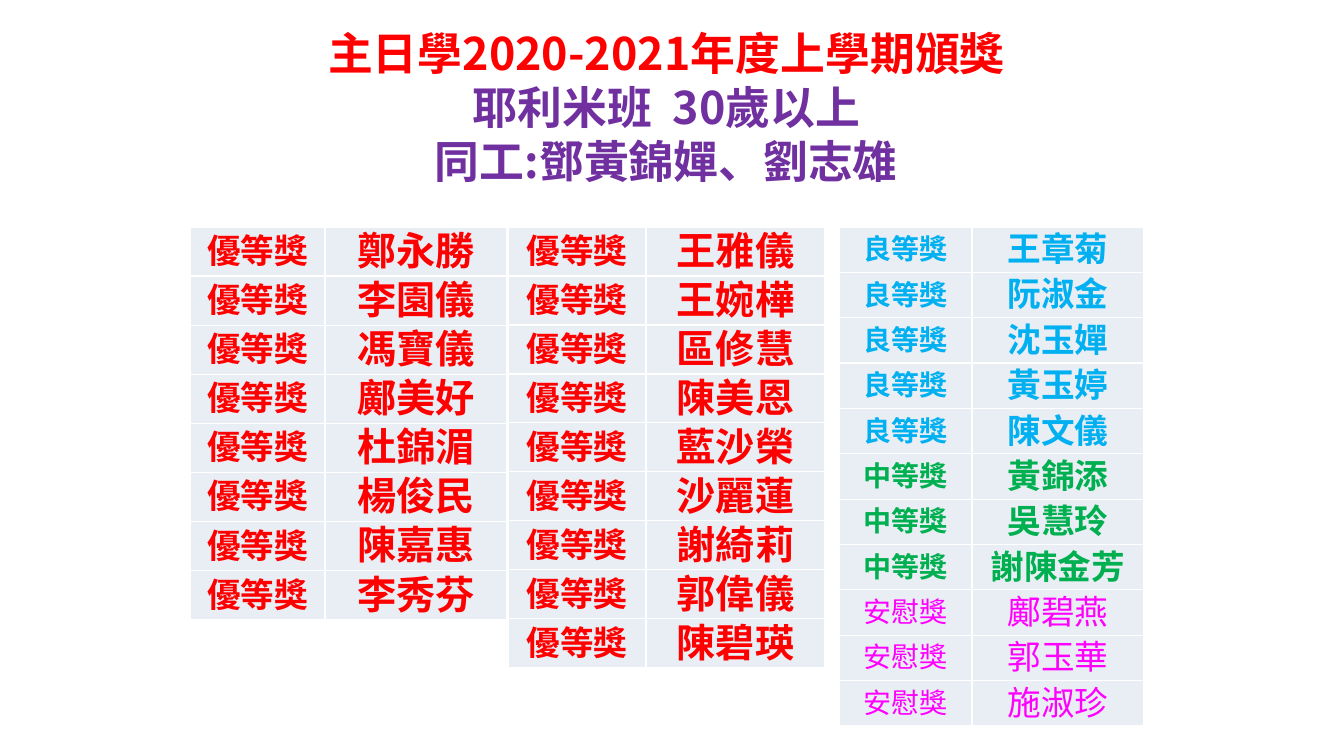
from lxml import etree
from pptx import Presentation
from pptx.dml.color import RGBColor
from pptx.enum.text import MSO_ANCHOR, MSO_AUTO_SIZE, PP_ALIGN
from pptx.oxml.ns import qn
from pptx.util import Pt

CENTER = PP_ALIGN.CENTER
MIDDLE = MSO_ANCHOR.MIDDLE
TOP = MSO_ANCHOR.TOP
NO_FIT = MSO_AUTO_SIZE.NONE
PX = 12192000 / 1344
TITLE_ONLY = 5

COLORS = {
    "red": "FF0000",
    "purple": "7030A0",
    "blue": "00B0F0",
    "green": "00B050",
    "pink": "FF00FF",
    "cell": "E9EDF4",
}
AWARDS = {
    "優等獎": {"color": "red", "bold": True},
    "良等獎": {"color": "blue", "bold": True},
    "中等獎": {"color": "green", "bold": True},
    "安慰獎": {"color": "pink", "bold": False},
}
HEADING = [
    ("主日學2020-2021年度上學期頒獎", "red"),
    ("耶利米班  30歲以上", "purple"),
    ("同工:鄧黃錦嬋、劉志雄", "purple"),
]
TABLES = [
    {"left": 190, "widths": (135, 182), "height": 393, "sizes": (24, 28),
     "winners": {"優等獎": "鄭永勝 李園儀 馮寶儀 鄺美好 杜錦湄 楊俊民 陳嘉惠 李秀芬"}},
    {"left": 508, "widths": (138, 179), "height": 441, "sizes": (24, 28),
     "winners": {"優等獎": "王雅儀 王婉樺 區修慧 陳美恩 藍沙榮 沙麗蓮 謝綺莉 郭偉儀 陳碧瑛"}},
    {"left": 839, "widths": (133, 172), "height": 499, "sizes": (20, 24),
     "winners": {"良等獎": "王章菊 阮淑金 沈玉嬋 黃玉婷 陳文儀",
                 "中等獎": "黃錦添 吳慧玲 謝陳金芳",
                 "安慰獎": "鄺碧燕 郭玉華 施淑珍"}},
]


def px(n):
    """Turn px into EMU."""
    return round(n * PX)


class AwardSlide:
    """Hold the style and the current slide."""

    def __init__(self, prs):
        """Add a slide with a title only."""
        self.s = prs.slides.add_slide(prs.slide_layouts[TITLE_ONLY])
        self.title_font = "Noto Sans CJK SC"
        self.table_font = "Calibri"

    def text(self, p, text, font, size, color, bold):
        """Put one centred run in a paragraph."""
        p.alignment = CENTER
        r = p.add_run()
        r.text = text
        r.font.color.rgb = RGBColor.from_string(COLORS[color])
        for name, value in {"name": font, "size": Pt(size), "bold": bold}.items():
            setattr(r.font, name, value)
        etree.SubElement(r.font._element, qn("a:ea"), typeface=font)

    def title(self, left, top, width, height, lines):
        """Place the title and its coloured lines."""
        sp = self.s.shapes.title
        place = {"left": left, "top": top, "width": width, "height": height}
        for name, value in place.items():
            setattr(sp, name, px(value))
        tf = sp.text_frame
        frame = {"word_wrap": True, "vertical_anchor": TOP, "auto_size": NO_FIT}
        for name, value in frame.items():
            setattr(tf, name, value)
        for i, (text, color) in enumerate(lines):
            p = tf.add_paragraph() if i else tf.paragraphs[0]
            self.text(p, text, self.title_font, 32, color, True)

    def table(self, left, top, widths, height, sizes, winners):
        """Add a table of awards and winners."""
        rows = [(award, name) for award, names in winners.items()
                for name in names.split()]
        tbl = self.s.shapes.add_table(len(rows), len(widths), px(left), px(top),
                                      px(sum(widths)), px(height)).table
        tbl.first_row = tbl.horz_banding = False
        for col, width in zip(tbl.columns, widths):
            col.width = px(width)
        for i, row in enumerate(rows):
            tbl.rows[i].height = px(height / len(rows))
            for j, (text, size) in enumerate(zip(row, sizes)):
                self.cell(tbl.cell(i, j), text, size, AWARDS[row[0]])

    def cell(self, cell, text, size, style):
        """Fill one table cell and set its text."""
        layout = {"margin_left": px(1), "margin_top": px(1), "margin_right": px(1),
                  "margin_bottom": 0, "vertical_anchor": MIDDLE}
        for name, value in layout.items():
            setattr(cell, name, value)
        cell.fill.solid()
        cell.fill.fore_color.rgb = RGBColor.from_string(COLORS["cell"])
        self.text(cell.text_frame.paragraphs[0], text, self.table_font, size, **style)


def main():
    """Build the award slide and save it."""
    prs = Presentation()
    prs.slide_width, prs.slide_height = px(1344), px(756)
    slide = AwardSlide(prs)
    slide.title(186, 21, 961, 228, HEADING)
    for table in TABLES:
        slide.table(top=227, **table)
    prs.save("out.pptx")


if __name__ == "__main__":
    main()
